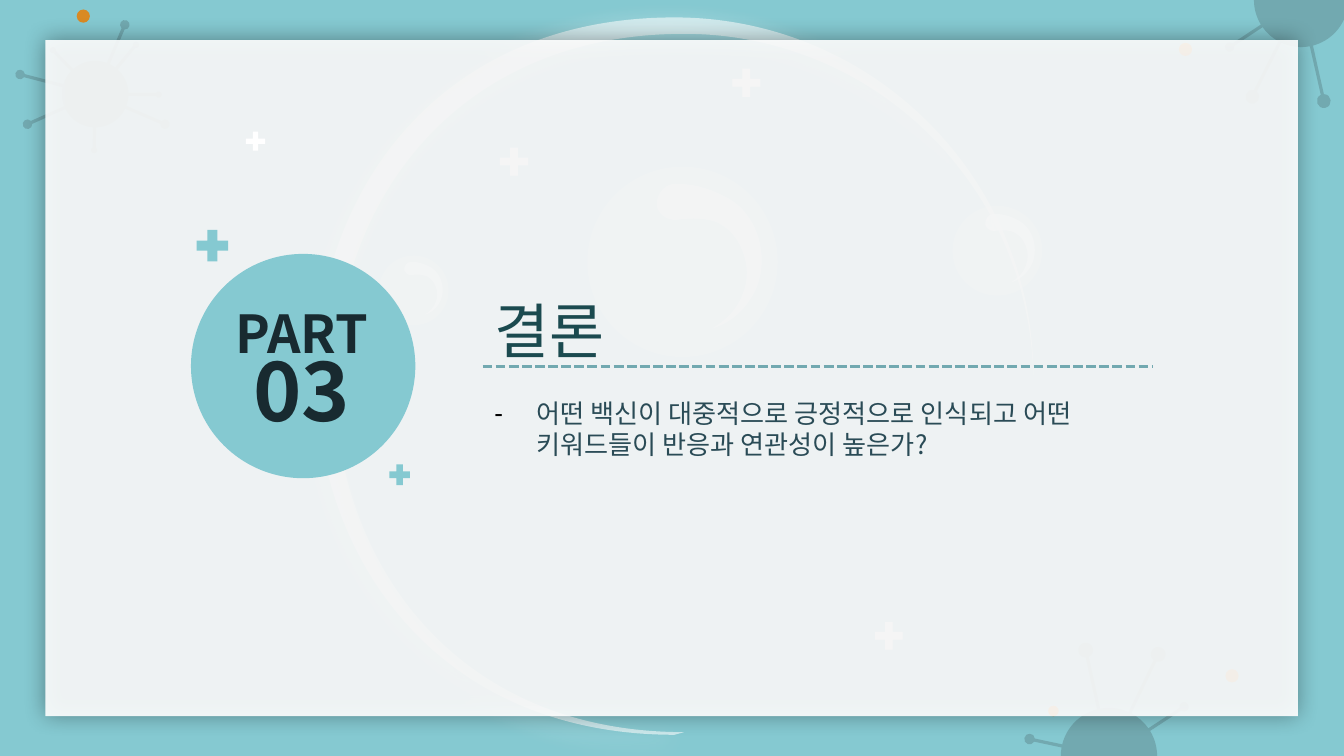
from math import asin, atan2, ceil, cos, degrees, radians, sin, tan

from lxml.etree import SubElement
from pptx import Presentation
from pptx.dml.color import RGBColor
from pptx.enum.dml import MSO_LINE
from pptx.enum.shapes import MSO_CONNECTOR, MSO_SHAPE
from pptx.enum.text import MSO_ANCHOR, MSO_AUTO_SIZE, PP_ALIGN
from pptx.oxml.ns import qn
from pptx.util import Cm, Pt

FONT = "Noto Sans CJK KR"
AQUA = RGBColor(0x85, 0xC9, 0xD1)
TEAL = RGBColor(0x72, 0xA9, 0xB0)
ORANGE = RGBColor(0xD9, 0x8A, 0x23)
PALE = RGBColor(0xDA, 0xE7, 0xEF)
WHITE = RGBColor(0xFF, 0xFF, 0xFF)
BLACK = RGBColor(0x00, 0x00, 0x00)
INK = RGBColor(0x18, 0x2A, 0x30)
HEADING = RGBColor(0x1B, 0x4A, 0x4F)
BODY = RGBColor(0x2A, 0x4B, 0x56)

# Viruses: centre x, y, radius, arc start and end, spike knobs (x, y, radius)
VIRUSES = [
    (20.96, 14.29, 0.91, 180, 360,
     [(19.46, 13.97, 0.1), (20.52, 12.29, 0.14), (21.89, 12.37, 0.14), (22.38, 13.36, 0.09)]),
    (24.59, 0, 0.89, 0, 180,
     [(26.01, 0.3, 0.1), (25.02, 1.91, 0.13), (23.67, 1.83, 0.13), (23.24, 0.89, 0.09)]),
    (1.8, 1.78, 0.63, 12, 372,
     [(2.36, 0.47, 0.09), (2.57, 0.85, 0.06), (3, 1.79, 0.06), (3.12, 2.35, 0.09),
      (1.78, 2.84, 0.06), (0.52, 2.35, 0.09), (0.38, 1.41, 0.09), (1, 0.95, 0.06)]),
]
STEM = 0.03  # half the width of a spike

DOTS = [(22.28, 0.81, 0.25), (1.45, 0.18, 0.25), (23.16, 12.65, 0.25), (19.81, 13.34, 0.2)]
CROSSES = [(13.84, 1.3, 0.53), (9.45, 2.79, 0.53), (16.54, 11.76, 0.52)]

# Glare on a planet of radius 1: start, then two controls and an end per curve
GLARE = [
    (-0.08, -0.82),
    (-0.21, -0.81), (-0.28, -0.69), (-0.27, -0.58),
    (-0.24, -0.49), (-0.17, -0.44), (-0.07, -0.44),
    (0.01, -0.45), (0.2, -0.48), (0.37, -0.41),
    (0.49, -0.35), (0.58, -0.25), (0.63, -0.11),
    (0.69, 0.03), (0.69, 0.2), (0.63, 0.34),
    (0.58, 0.49), (0.45, 0.62), (0.31, 0.7),
    (0.48, 0.65), (0.62, 0.54), (0.72, 0.38),
    (0.82, 0.23), (0.85, 0.03), (0.82, -0.15),
    (0.79, -0.35), (0.68, -0.54), (0.51, -0.65),
    (0.32, -0.76), (0.14, -0.82), (-0.08, -0.82),
]


def arc(x, y, radius, start, end):
    """Start point, then two controls and an end for each part of the arc."""
    count = max(1, ceil(abs(end - start) / 180))
    step = radians(end - start) / count
    pull = 4 / 3 * tan(step / 4)
    points = [(x + radius * cos(radians(start)), y + radius * sin(radians(start)))]
    for index in range(count):
        a = radians(start) + index * step
        b = a + step
        points += [(x + radius * (cos(a) - pull * sin(a)), y + radius * (sin(a) + pull * cos(a))),
                   (x + radius * (cos(b) + pull * sin(b)), y + radius * (sin(b) - pull * cos(b))),
                   (x + radius * cos(b), y + radius * sin(b))]
    return points


def join(parts):
    """Link curves with straight stretches."""
    points = list(parts[0])
    for part in parts[1:]:
        points += [points[-1], part[0]] + part
    return points


def paint(shape, color, alpha=100):
    shape.shadow.inherit = False
    shape.fill.solid()
    shape.fill.fore_color.rgb = color
    shape.line.fill.background()
    if alpha < 100:
        color_element = shape.element.spPr.find(".//" + qn("a:srgbClr"))
        SubElement(color_element, qn("a:alpha"), val=str(alpha * 1000))
    return shape


def add_shadow(shape, color, alpha, blur, distance=0, direction=0):
    effects = shape.element.spPr.find(qn("a:effectLst"))
    shadow = SubElement(effects, qn("a:outerShdw"), blurRad=str(Pt(blur)),
                        dist=str(Pt(distance)), dir=str(direction * 60000),
                        algn="ctr", rotWithShape="0")
    color_element = SubElement(shadow, qn("a:srgbClr"), val=str(color))
    SubElement(color_element, qn("a:alpha"), val=str(alpha * 1000))


def add_preset(slide, kind, box, color, alpha=100):
    shape = slide.shapes.add_shape(kind, *[Cm(value) for value in box])
    return paint(shape, color, alpha)


def add_outline(slide, points, color, alpha=100):
    corners = [(Cm(x), Cm(y)) for x, y in points]
    builder = slide.shapes.build_freeform(*corners[0], scale=1.0)
    builder.add_line_segments(corners[1:], close=True)
    shape = builder.convert_to_shape()
    # Turn each three segments into one cubic curve
    outline = shape.element.spPr.find(".//" + qn("a:path"))
    segments = outline.findall(qn("a:lnTo"))
    for index in range(0, len(segments), 3):
        cubic = SubElement(outline, qn("a:cubicBezTo"))
        segments[index].addprevious(cubic)
        for segment in segments[index:index + 3]:
            cubic.append(segment[0])
            outline.remove(segment)
    return paint(shape, color, alpha)


def add_virus(slide, x, y, radius, start, end, knobs):
    def angle_of(knob):
        return (degrees(atan2(knob[1] - y, knob[0] - x)) - start) % 360 + start

    parts, reached = [], start
    root = degrees(asin(STEM / radius))
    for knob in sorted(knobs, key=angle_of):
        angle = angle_of(knob)
        neck = degrees(asin(STEM / knob[2]))
        parts.append(arc(x, y, radius, reached, angle - root))
        parts.append(arc(*knob, angle - 180 + neck, angle + 180 - neck))
        reached = angle + root
    add_outline(slide, join(parts + [arc(x, y, radius, reached, end)]), TEAL)


def add_planet(slide, x, y, radius, glare_alpha):
    box = (x - radius, y - radius, 2 * radius, 2 * radius)
    add_preset(slide, MSO_SHAPE.OVAL, box, PALE, 35)
    glare = [(x + radius * px, y + radius * py) for px, py in GLARE]
    add_outline(slide, glare, WHITE, glare_alpha)


def add_orbit(slide):
    outer = arc(12.75, 7.11, 6.78, 0, -90) + arc(12.75, 7.11, 6.78, -90, -270)[1:]
    inner = arc(12.93, 7.24, 6.6, -270, -90) + arc(12.93, 7.24, 6.6, -90, 0)[1:]
    orbit = add_outline(slide, join([outer, inner]), WHITE, 57)
    add_shadow(orbit, WHITE, 70, 13.5, 4.5, 122)


def add_cross(slide, x, y, size):
    shape = add_preset(slide, MSO_SHAPE.CROSS, (x, y, size, size), WHITE)
    shape.adjustments[0] = 0.36


def place(slide, placeholder, box):
    """Put a placeholder on top of the panel and return its text frame."""
    placeholder.left, placeholder.top, placeholder.width, placeholder.height = map(Cm, box)
    slide.shapes.element.append(placeholder.element)
    frame = placeholder.text_frame
    frame.word_wrap = True
    frame.auto_size = MSO_AUTO_SIZE.NONE
    frame.vertical_anchor = MSO_ANCHOR.TOP
    return frame


def format_font(font, size, color, bold=False):
    font.name, font.size, font.bold = FONT, Pt(size), bold
    font.color.rgb = color


def fill_title(slide):
    frame = place(slide, slide.shapes.title, (3.45, 5.21, 4.5, 1.6))
    frame.margin_left = frame.margin_right = frame.margin_top = frame.margin_bottom = Cm(0.25)
    paragraph = frame.paragraphs[0]
    paragraph.alignment = PP_ALIGN.CENTER
    paragraph.line_spacing = Pt(40)
    for text, size in (("PART", 28), ("03", 44)):
        if paragraph.runs:
            paragraph.add_line_break()
        run = paragraph.add_run()
        run.text = text
        format_font(run.font, size, INK, True)


def fill_body(slide):
    frame = place(slide, slide.placeholders[1], (8.66, 4.75, 13.13, 4.11))
    rows = [("결론", 32, HEADING, 1.5, 0, 0.43, 0, None),
            ("어떤 백신이 대중적으로 긍정적으로 인식되고 어떤 키워드들이 반응과 연관성이 높은가?",
             14, BODY, 1, 17, 1.22, -0.79, "-")]
    for index, (text, size, color, spacing, before, margin, indent, bullet) in enumerate(rows):
        paragraph = frame.add_paragraph() if index else frame.paragraphs[0]
        paragraph.text = text
        paragraph.line_spacing = spacing
        paragraph.space_before = Pt(before)
        properties = paragraph._p.get_or_add_pPr()
        properties.set("marL", str(Cm(margin)))
        properties.set("indent", str(Cm(indent)))
        if bullet:
            bullet_color = SubElement(properties, qn("a:buClr"))
            SubElement(bullet_color, qn("a:srgbClr"), val=str(BLACK))
            SubElement(properties, qn("a:buChar"), char=bullet)
        else:
            SubElement(properties, qn("a:buNone"))
        format_font(paragraph.font, size, color)


def add_divider(slide):
    line = slide.shapes.add_connector(MSO_CONNECTOR.STRAIGHT, Cm(9.12), Cm(6.93), Cm(21.79), Cm(6.93))
    line.line.color.rgb = TEAL
    line.line.width = Pt(1.75)
    line.line.dash_style = MSO_LINE.SQUARE_DOT
    SubElement(line.element.spPr, qn("a:effectLst"))


def main():
    presentation = Presentation()
    presentation.slide_width, presentation.slide_height = Cm(25.4), Cm(14.29)
    slide = presentation.slides.add_slide(presentation.slide_layouts[1])
    slide.background.fill.solid()
    slide.background.fill.fore_color.rgb = AQUA

    # Backdrop
    for virus in VIRUSES:
        add_virus(slide, *virus)
    for x, y, size in DOTS:
        add_preset(slide, MSO_SHAPE.OVAL, (x, y, size, size), ORANGE)
    add_planet(slide, 12.9, 4.95, 1.8, 53)
    add_orbit(slide)
    for cross in CROSSES:
        add_cross(slide, *cross)
    add_planet(slide, 18.85, 4.74, 0.85, 65)
    add_planet(slide, 7.82, 5.49, 0.66, 65)

    # Panel and part badge
    panel = add_preset(slide, MSO_SHAPE.RECTANGLE, (0.86, 0.76, 23.67, 12.78), WHITE, 90)
    add_shadow(panel, BLACK, 40, 12)
    add_preset(slide, MSO_SHAPE.OVAL, (3.61, 4.8, 4.24, 4.24), AQUA)
    fill_title(slide)
    add_cross(slide, 4.65, 2.49, 0.36)

    # Section text
    fill_body(slide)
    add_divider(slide)
    for x, y, size in ((3.61, 4.24, 0.81), (7.29, 8.71, 0.53)):
        add_preset(slide, MSO_SHAPE.MATH_PLUS, (x, y, size, size), AQUA)
    presentation.save("out.pptx")


if __name__ == "__main__":
    main()
